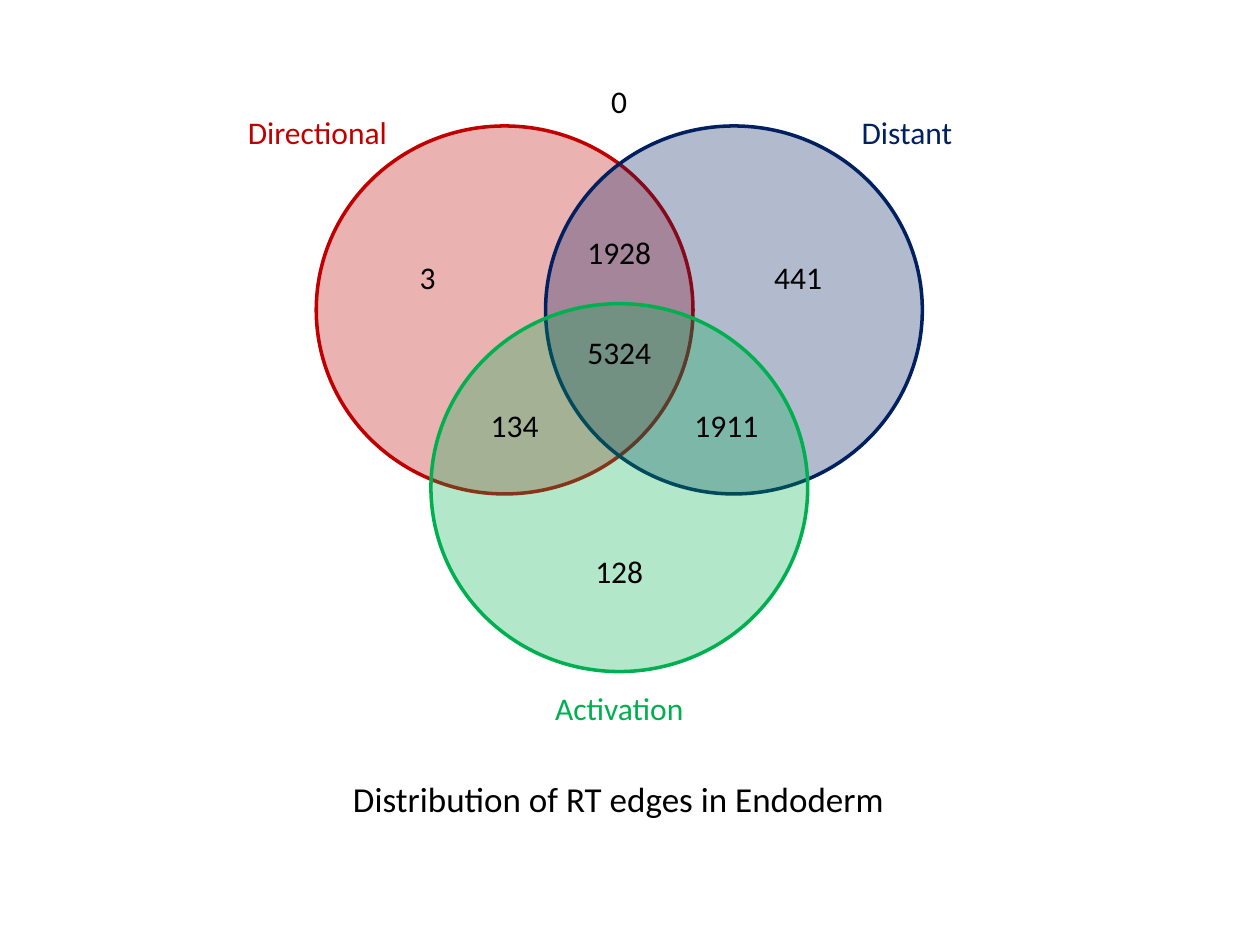
from lxml import etree
from pptx import Presentation
from pptx import util as u
from pptx.dml.color import RGBColor
from pptx.enum import shapes, text
from pptx.oxml.ns import qn

COLORS = {"directional": "C00000", "distant": "002060", "activation": "00B050", "ink": "000000"}
LEFT, CENTER, RIGHT = text.PP_ALIGN.LEFT, text.PP_ALIGN.CENTER, text.PP_ALIGN.RIGHT
CIRCLE_WIDTH, CIRCLE_HEIGHT = 2.99, 2.92
CIRCLES = [("directional", 0, 0), ("distant", 1.82, 0), ("activation", 0.91, 1.41)]
SET_LABELS = [
    ("Directional", "directional", -0.98, -0.15, 1.64, RIGHT),
    ("Distant", "distant", 4.23, -0.15, 1.33, LEFT),
    ("Activation", "activation", 1.74, 4.42, 1.33, CENTER),
]
COUNTS = [
    ("3", 0.47, 1), ("441", 3.41, 1), ("128", 1.99, 3.33), ("5324", 1.99, 1.59),
    ("1928", 1.99, 0.8), ("134", 1.16, 2.17), ("1911", 2.84, 2.17), ("0", 1.99, -0.4),
]


def write_text(shape, words, size, color, alignment):
    """Put one formatted run into a shape."""
    frame = shape.text_frame
    frame.word_wrap = True
    frame.auto_size = text.MSO_AUTO_SIZE.SHAPE_TO_FIT_TEXT
    frame.vertical_anchor = text.MSO_ANCHOR.TOP
    paragraph = frame.paragraphs[0]
    paragraph.alignment = alignment
    run = paragraph.add_run()
    run.text = words
    run.font.name = "Calibri"
    run.font.size = u.Pt(size)
    run.font.color.rgb = RGBColor.from_string(COLORS[color])


def add_label(slide, words, color, left, top, width, alignment):
    """Add a text box that holds one label."""
    box = slide.shapes.add_textbox(u.Inches(left), u.Inches(top), u.Inches(width), u.Inches(0.4))
    write_text(box, words, 18, color, alignment)


def add_circle(slide, color, left, top):
    """Add one translucent set with a solid outline."""
    circle = slide.shapes.add_shape(
        shapes.MSO_SHAPE.OVAL, u.Inches(left), u.Inches(top),
        u.Inches(CIRCLE_WIDTH), u.Inches(CIRCLE_HEIGHT))
    circle.shadow.inherit = False
    shade = RGBColor.from_string(COLORS[color])
    circle.fill.solid()
    circle.fill.fore_color.rgb = shade
    fill_color = circle.fill._xPr.find(qn("a:solidFill"))[0]
    etree.SubElement(fill_color, qn("a:alpha")).set("val", "30000")
    circle.line.color.rgb = shade
    circle.line.width = u.Pt(2)


def add_venn(slide, left, top):
    """Draw the three sets, their names and the counts of their regions."""
    for color, x, y in CIRCLES:
        add_circle(slide, color, left + x, top + y)
    for words, color, x, y, width, alignment in SET_LABELS:
        add_label(slide, words, color, left + x, top + y, width, alignment)
    for words, x, y in COUNTS:
        add_label(slide, words, "ink", left + x, top + y, 0.83, CENTER)


def place_title(slide, words, left, top, width, height):
    """Move the title placeholder below the diagram and fill it."""
    title = slide.shapes.title
    title.left, title.top = u.Inches(left), u.Inches(top)
    title.width, title.height = u.Inches(width), u.Inches(height)
    write_text(title, words, 20, "ink", CENTER)


def main():
    """Build and save the slide."""
    presentation = Presentation()
    presentation.slide_width, presentation.slide_height = u.Inches(10), u.Inches(7.5)
    slide = presentation.slides.add_slide(presentation.slide_layouts.get_by_name("Title Only"))
    add_venn(slide, 2.51, 1)
    place_title(slide, "Distribution of RT edges in Endoderm", 1.66, 6.12, 6.5, 0.44)
    presentation.save("out.pptx")


main()
